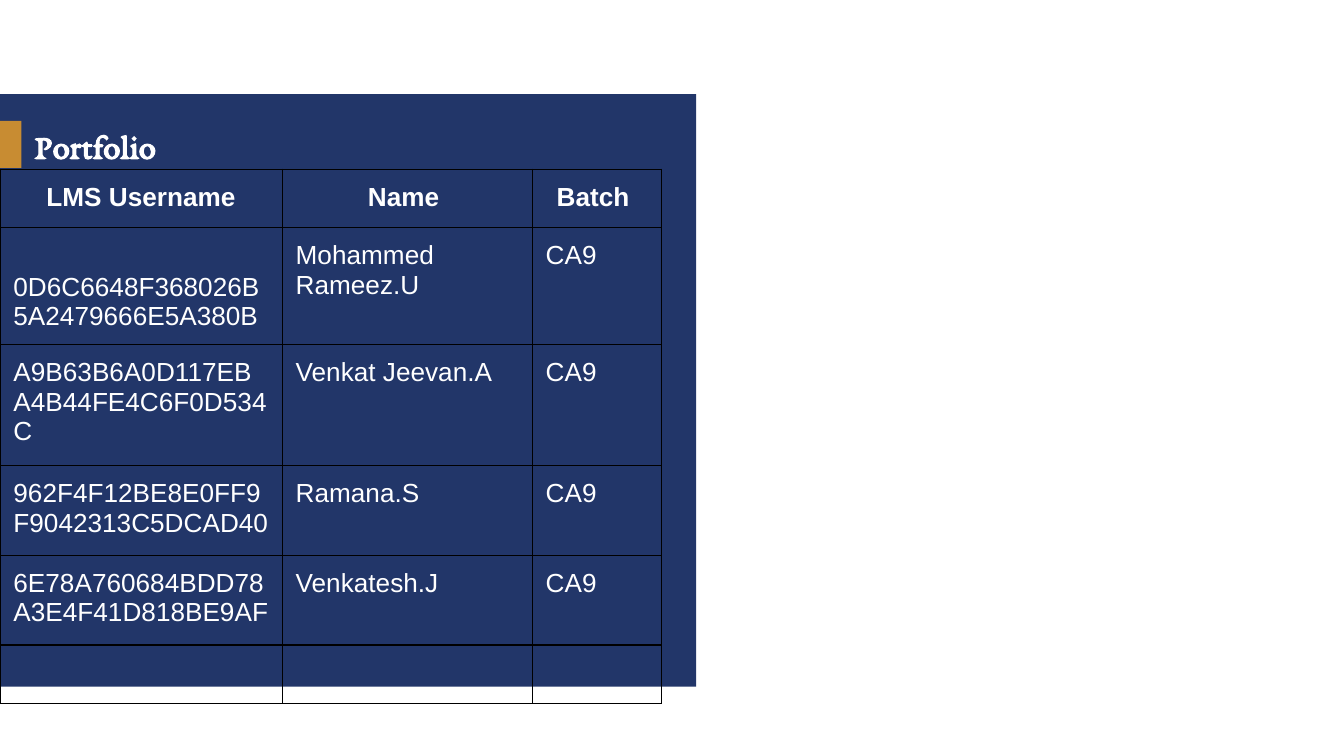
from pptx import Presentation
from pptx.util import Inches, Pt
from pptx.dml.color import RGBColor
from pptx.enum.shapes import MSO_SHAPE as SHAPE
from pptx.enum.text import MSO_ANCHOR as ANCHOR, PP_ALIGN as ALIGN
from lxml.etree import SubElement
from pptx.oxml.ns import qn

TITLE = "Portfolio"
HEADERS = ("LMS Username", "Name ", "Batch ")
MEMBERS = [
    ("0D6C6648F368026B5A2479666E5A380B", "Mohammed Rameez.U", "CA9"),
    ("A9B63B6A0D117EBA4B44FE4C6F0D534C", "Venkat Jeevan.A", "CA9"),
    ("962F4F12BE8E0FF9F9042313C5DCAD40", "Ramana.S", "CA9"),
    ("6E78A760684BDD78A3E4F41D818BE9AF", "Venkatesh.J", "CA9"),
]
ROWS = [HEADERS, *MEMBERS, ("", "", "")]
COLUMN_WIDTHS = (2.1, 1.86, 0.96)
ROW_HEIGHTS = (0.42, 0.87, 0.87, 0.64, 0.64, 0)  # the last row grows to fit
TABLE_BOX = (0, 1.26, sum(COLUMN_WIDTHS), 4)
PADDING = 0.1
SLIDE_WIDTH = 10
SLIDE_HEIGHT = SLIDE_WIDTH * 9 / 16

THEME = {
    "panel": "223669", "accent": "C88C32", "text": "FFFFFF", "border": "000000",
    "title_font": "EB Garamond", "body_font": "Arial",
    "title_size": 18.3, "body_size": 14, "border_width": 0.75,
}


def add_block(s, box, color):
    """Add a plain filled rectangle."""
    sp = s.shapes.add_shape(SHAPE.RECTANGLE, *map(Inches, box))
    sp.shadow.inherit = False
    sp.fill.solid()
    sp.fill.fore_color.rgb = RGBColor.from_string(THEME[color])
    sp.line.fill.background()


def style_runs(p, role, bold):
    """Apply the theme's font for a role to each run."""
    for r in p.runs:
        r.font.name = THEME[role + "_font"]
        r.font.size = Pt(THEME[role + "_size"])
        r.font.bold = bold
        r.font.color.rgb = RGBColor.from_string(THEME["text"])


def add_title(s):
    """Add the heading beside the accent block."""
    sp = s.shapes.add_textbox(*map(Inches, (0.16, 0.89, 3.74, 0.38)))
    tf = sp.text_frame
    tf.word_wrap = True
    tf.vertical_anchor = ANCHOR.MIDDLE
    tf.text = TITLE
    style_runs(tf.paragraphs[0], "title", True)


def add_borders(cell):
    """Draw all four edges of a cell."""
    props = cell._tc.get_or_add_tcPr()
    for i, edge in enumerate(("a:lnL", "a:lnR", "a:lnT", "a:lnB")):
        line = SubElement(props, qn(edge), w=str(Pt(THEME["border_width"])))
        fill = SubElement(line, qn("a:solidFill"))
        SubElement(fill, qn("a:srgbClr"), val=THEME["border"])
        props.insert(i, line)


def fill_cell(cell, text, is_header):
    """Write one cell with its margins, fill and borders."""
    cell.margin_left = cell.margin_right = Inches(PADDING)
    cell.margin_top = cell.margin_bottom = Inches(PADDING)
    cell.fill.background()
    add_borders(cell)
    cell.text = text
    p = cell.text_frame.paragraphs[0]
    p.alignment = ALIGN.CENTER if is_header else ALIGN.LEFT
    style_runs(p, "body", is_header)
    if not text:
        SubElement(p._p, qn("a:endParaRPr"), sz=str(THEME["body_size"] * 100))


def add_members(s):
    """Add the member table."""
    frame = s.shapes.add_table(len(ROWS), len(HEADERS), *map(Inches, TABLE_BOX))
    table = frame.table
    table.first_row = table.horz_banding = False
    for column, width in zip(table.columns, COLUMN_WIDTHS):
        column.width = Inches(width)
    for i, (row, height) in enumerate(zip(table.rows, ROW_HEIGHTS)):
        row.height = Inches(height)
        for cell, text in zip(row.cells, ROWS[i]):
            fill_cell(cell, text, i == 0)
    table.cell(1, 0).vertical_anchor = ANCHOR.BOTTOM
    frame.height = Inches(TABLE_BOX[3])


prs = Presentation()
prs.slide_width, prs.slide_height = Inches(SLIDE_WIDTH), Inches(SLIDE_HEIGHT)
s = prs.slides.add_slide(prs.slide_layouts[6])
add_block(s, (0, 0.7, 5.18, 4.41), "panel")
add_block(s, (0, 0.9, 0.16, 0.35), "accent")
add_title(s)
add_members(s)
prs.save("out.pptx")
